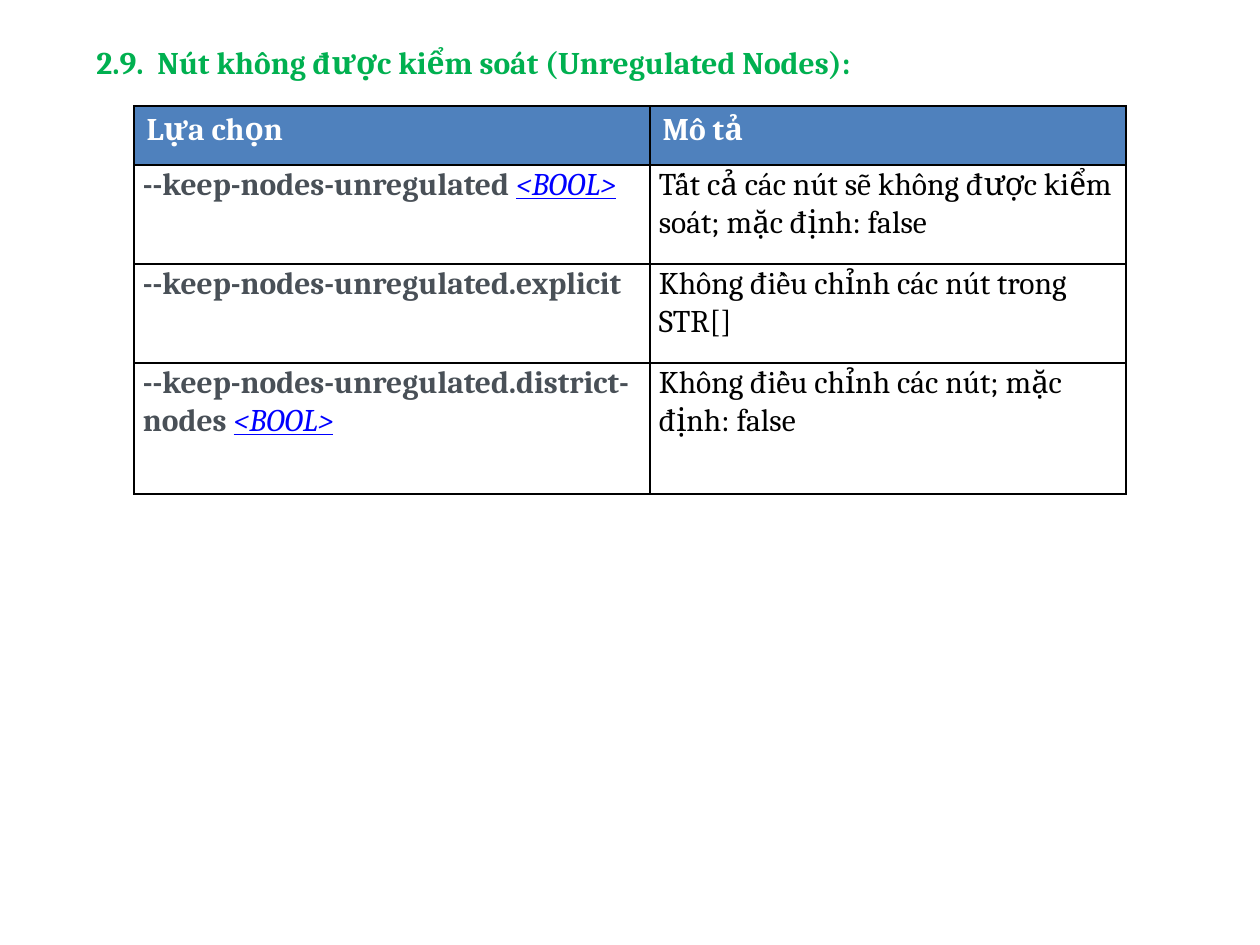
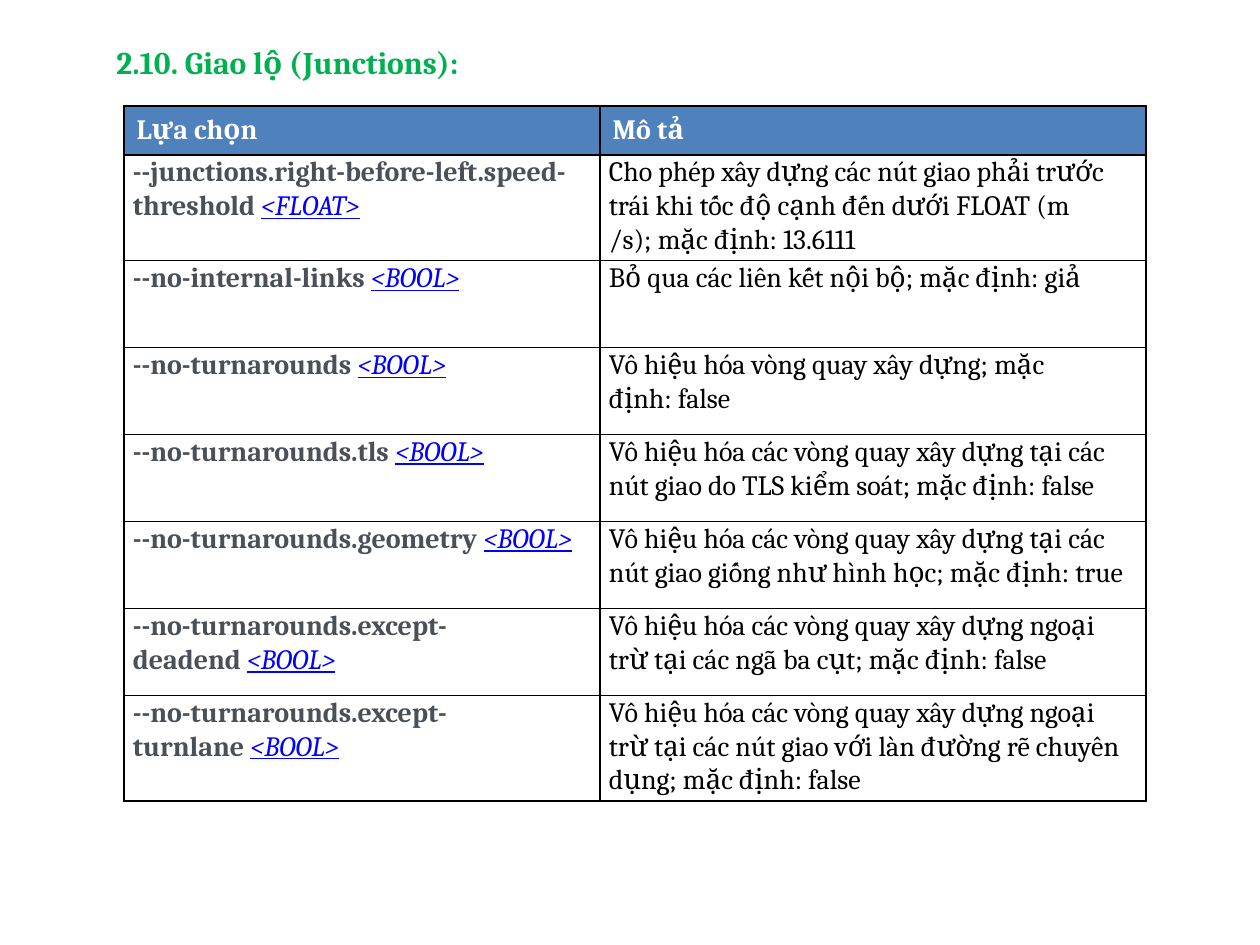
import pptx
import pptx.dml.color
import pptx.enum.text
import pptx.oxml
import pptx.oxml.ns
import pptx.util

PX = 914400 // 126
FONT = "Cambria"
NBSP = chr(160)
LINE_WIDTH = 12700
HEADINGS = ("Lựa chọn", "Mô tả")
COLORS = {
    "title": "00B050",
    "header": "4F81BD",
    "header_text": "FFFFFF",
    "option": "495057",
    "value_type": "0000FF",
    "description": "000000",
    "border": "000000",
}
ANCHOR = pptx.enum.text.MSO_ANCHOR


def px(length):
    """Turn whole pixels into EMU."""
    return pptx.util.Emu(length * PX)


def rgb(name):
    """Look up a named colour."""
    return pptx.dml.color.RGBColor.from_string(COLORS[name])


def add_run(paragraph, text, color, size, bold=False, value_type=False):
    """Append a styled run; value types are italic and underlined."""
    run = paragraph.add_run()
    run.text = text
    run.font.name = FONT
    run.font.size = pptx.util.Pt(size)
    run.font.color.rgb = rgb(color)
    run.font.bold = bold
    run.font.italic = run.font.underline = value_type


def with_default(text, default):
    """Finish a description with its default value."""
    return f"{text};{NBSP}mặc định:{NBSP}{default}"


def add_title(slide, box, text, wrap):
    """Place the green section title in its box."""
    title = slide.shapes.add_textbox(*map(px, box))
    frame = title.text_frame
    frame.word_wrap = wrap
    frame.auto_size = pptx.enum.text.MSO_AUTO_SIZE.SHAPE_TO_FIT_TEXT
    add_run(frame.paragraphs[0], text, "title", 18, bold=True)


def add_borders(cell):
    """Draw a thin line on all four sides of a cell."""
    properties = cell._tc.get_or_add_tcPr()
    for side in ("lnL", "lnR", "lnT", "lnB"):
        properties.append(pptx.oxml.parse_xml(
            f'<a:{side} {pptx.oxml.ns.nsdecls("a")} w="{LINE_WIDTH}">'
            f'<a:solidFill><a:srgbClr val="{COLORS["border"]}"/></a:solidFill>'
            f'</a:{side}>'))


def body_paragraph(cell, space_after):
    """Prepare a body cell and return its paragraph."""
    add_borders(cell)
    cell.fill.background()
    cell.margin_left = cell.margin_right = px(9)
    cell.margin_top = cell.margin_bottom = 0
    paragraph = cell.text_frame.paragraphs[0]
    paragraph.line_spacing = 1.05
    paragraph.space_after = pptx.util.Pt(space_after)
    return paragraph


def add_options_table(slide, left, top, widths, heights, options, size,
                      header_anchor, space_after):
    """Build the table of options and their descriptions."""
    table = slide.shapes.add_table(
        len(heights), len(widths), px(left), px(top),
        px(sum(widths)), px(sum(heights))).table
    table.horz_banding = False
    for column, width in zip(table.columns, widths):
        column.width = px(width)
    for row, height in zip(table.rows, heights):
        row.height = px(height)

    for cell, heading in zip(table.rows[0].cells, HEADINGS):
        add_borders(cell)
        cell.fill.solid()
        cell.fill.fore_color.rgb = rgb("header")
        cell.vertical_anchor = header_anchor
        add_run(cell.text_frame.paragraphs[0], heading, "header_text", size, bold=True)

    for row, (option, value_type, description) in enumerate(options, start=1):
        name = body_paragraph(table.cell(row, 0), space_after)
        gap = NBSP if value_type else ""
        add_run(name, option + gap, "option", size, bold=True)
        if value_type:
            add_run(name, f"<{value_type}>", "value_type", size, value_type=True)
        meaning = body_paragraph(table.cell(row, 1), space_after)
        add_run(meaning, description, "description", size)


def add_unregulated_nodes(slide):
    """Fill the slide on unregulated nodes."""
    add_title(slide, (84, 37, 850, 50),
              "2.9.  Nút không được kiểm soát (Unregulated Nodes):", wrap=True)
    prefix = "--keep-nodes-unregulated"
    options = [
        (prefix, "BOOL",
         with_default("Tất cả các nút sẽ không được kiểm soát", "false")),
        (f"{prefix}.explicit", None, "Không điều chỉnh các nút trong STR[]"),
        (f"{prefix}.district-nodes", "BOOL",
         with_default("Không điều chỉnh các nút", "false")),
    ]
    add_options_table(slide, 134, 106, (516, 476), (59, 99, 99, 131), options,
                      18, ANCHOR.TOP, 8)


def add_junctions(slide):
    """Fill the slide on junctions."""
    add_title(slide, (104, 37, 384, 50), "2.10. Giao lộ (Junctions):", wrap=False)
    turnarounds = "--no-turnarounds"
    disable = "Vô hiệu hóa các vòng quay xây dựng"
    options = [
        ("--junctions.right-before-left.speed-threshold", "FLOAT",
         with_default("Cho phép xây dựng các nút giao phải trước trái khi "
                      "tốc độ cạnh đến dưới FLOAT (m /s)", "13.6111")),
        ("--no-internal-links", "BOOL",
         with_default("Bỏ qua các liên kết nội bộ", "giả")),
        (turnarounds, "BOOL",
         with_default("Vô hiệu hóa vòng quay xây dựng", "false")),
        (f"{turnarounds}.tls", "BOOL",
         with_default(f"{disable} tại các nút giao do TLS kiểm soát", "false")),
        (f"{turnarounds}.geometry", "BOOL",
         with_default(f"{disable} tại các nút giao giống như hình học", "true")),
        (f"{turnarounds}.except-deadend", "BOOL",
         with_default(f"{disable} ngoại trừ tại các ngã ba cụt", "false")),
        (f"{turnarounds}.except-turnlane", "BOOL",
         with_default(f"{disable} ngoại trừ tại các nút giao với "
                      "làn đường rẽ chuyên dụng", "false")),
    ]
    add_options_table(slide, 124, 106, (476, 546), [49] + [87] * len(options),
                      options, 16, ANCHOR.MIDDLE, 0)


def main():
    """Build and save the presentation."""
    presentation = pptx.Presentation()
    presentation.slide_width = px(1260)
    presentation.slide_height = px(945)
    blank = presentation.slide_layouts[6]
    for fill_slide in (add_unregulated_nodes, add_junctions):
        fill_slide(presentation.slides.add_slide(blank))
    presentation.save("out.pptx")


if __name__ == "__main__":
    main()
